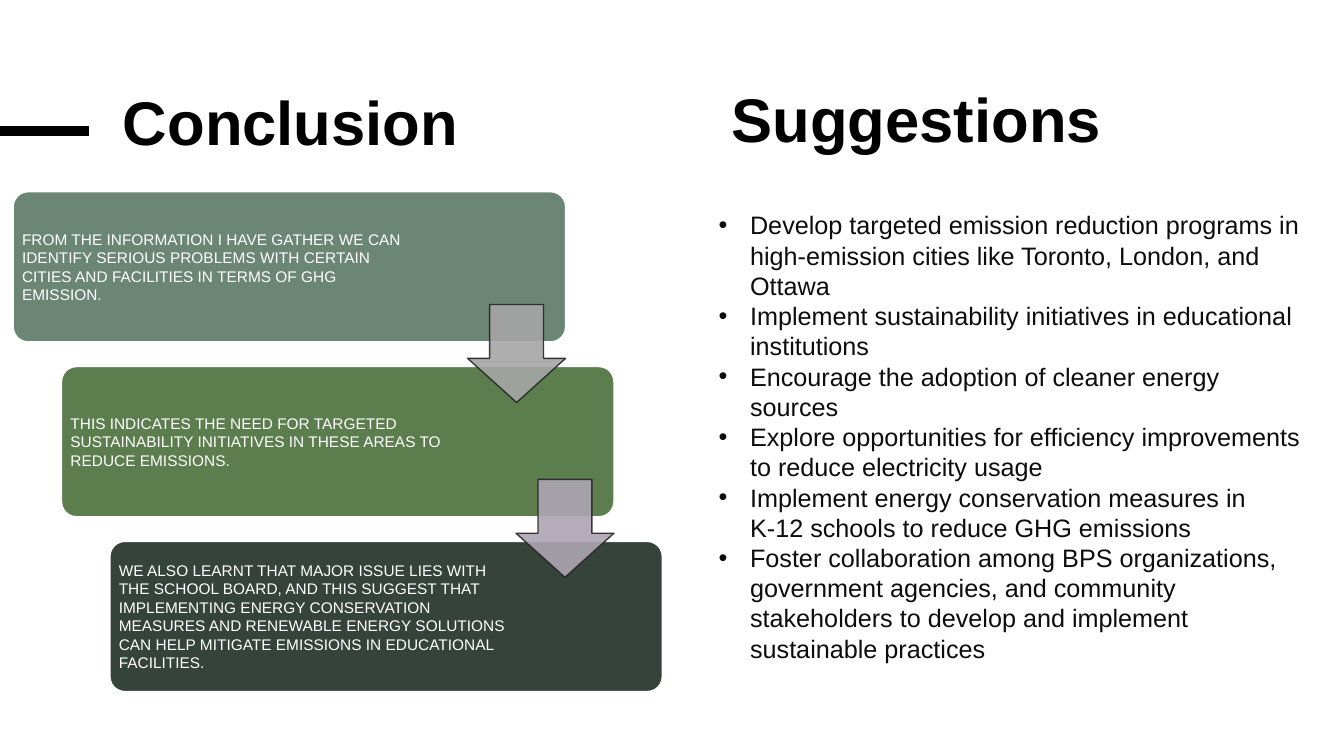
from lxml import etree
from pptx import Presentation
from pptx.dml.color import RGBColor
from pptx.enum.shapes import MSO_CONNECTOR, MSO_SHAPE
from pptx.enum.text import MSO_ANCHOR, MSO_AUTO_SIZE, PP_ALIGN
from pptx.oxml.ns import qn
from pptx.util import Pt

BLACK = RGBColor(0x00, 0x00, 0x00)
WHITE = RGBColor(0xFF, 0xFF, 0xFF)
INK = RGBColor(0x0D, 0x0D, 0x0D)
ARROW_EDGE = RGBColor(0x26, 0x26, 0x26)
SAGE = RGBColor(0x6B, 0x86, 0x74)
LEAF = RGBColor(0x5C, 0x7E, 0x4E)
FOREST = RGBColor(0x36, 0x43, 0x3A)
GREY = RGBColor(0xA6, 0xA6, 0xA6)
MAUVE = RGBColor(0xAD, 0xA5, 0xB2)

FINDINGS = [
    ("FROM THE INFORMATION I HAVE GATHER WE CAN IDENTIFY SERIOUS PROBLEMS WITH "
     "CERTAIN CITIES AND FACILITIES IN TERMS OF GHG EMISSION.", SAGE, 278.6),
    ("THIS INDICATES THE NEED FOR TARGETED SUSTAINABILITY INITIATIVES IN THESE "
     "AREAS TO REDUCE EMISSIONS.", LEAF, 283.7),
    ("WE ALSO LEARNT THAT MAJOR ISSUE LIES WITH THE SCHOOL BOARD, AND THIS "
     "SUGGEST THAT IMPLEMENTING ENERGY CONSERVATION MEASURES AND RENEWABLE "
     "ENERGY SOLUTIONS CAN HELP MITIGATE EMISSIONS IN EDUCATIONAL FACILITIES.",
     FOREST, 283.7),
]
SUGGESTIONS = [
    "Develop targeted emission reduction programs in high-emission cities like "
    "Toronto, London, and Ottawa",
    "Implement sustainability initiatives in educational institutions",
    "Encourage the adoption of cleaner energy sources",
    "Explore opportunities for efficiency improvements to reduce electricity usage",
    "Implement energy conservation measures in K-12 schools to reduce GHG emissions",
    "Foster collaboration among BPS organizations, government agencies, and "
    "community stakeholders to develop and implement sustainable practices",
]


def style_text(paragraph, size, color, bold=False):
    """Set the font of a left-aligned paragraph."""
    paragraph.alignment = PP_ALIGN.LEFT
    for run in paragraph.runs:
        run.font.name = "Arial"
        run.font.size = Pt(size)
        run.font.bold = bold
        run.font.color.rgb = color


def set_alpha(fill_parent, percent):
    """Make the solid fill under an element partly transparent."""
    color = fill_parent.find(qn("a:solidFill")).find(qn("a:srgbClr"))
    etree.SubElement(color, qn("a:alpha")).set("val", str(percent * 1000))


def add_text_box(slide, left, top, width, height):
    """Add a wrapping text box and return its text frame."""
    frame = slide.shapes.add_textbox(
        Pt(left), Pt(top), Pt(width), Pt(height)).text_frame
    frame.word_wrap = True
    return frame


def add_conclusion_title(slide, left, top, width, height):
    """Place the title with the heavy rule that leads to it from the edge."""
    rule_y = Pt(top + 29.5)
    rule = slide.shapes.add_connector(
        MSO_CONNECTOR.STRAIGHT, Pt(0), rule_y, Pt(left - 17.3), rule_y)
    rule.line.color.rgb = BLACK
    rule.line.width = Pt(6.75)
    etree.SubElement(rule.element.spPr, qn("a:effectLst"))

    title = slide.shapes.title
    title.left, title.top = Pt(left), Pt(top)
    title.width, title.height = Pt(width), Pt(height)
    frame = title.text_frame
    frame.text = "Conclusion"
    frame.auto_size = MSO_AUTO_SIZE.NONE
    frame.vertical_anchor = MSO_ANCHOR.TOP
    frame.paragraphs[0].line_spacing = 0.85
    style_text(frame.paragraphs[0], 44, BLACK, bold=True)


def add_finding(slide, left, top, width, height, finding, color, text_width):
    """Draw one rounded card with its finding."""
    card = slide.shapes.add_shape(
        MSO_SHAPE.ROUNDED_RECTANGLE, Pt(left), Pt(top), Pt(width), Pt(height))
    card.adjustments[0] = 0.1
    card.shadow.inherit = False
    card.fill.solid()
    card.fill.fore_color.rgb = color
    card.line.color.rgb = WHITE
    card.line.width = Pt(1)

    frame = add_text_box(slide, left + 3.1, top + 3.1, text_width, height - 6.2)
    frame.margin_left = frame.margin_right = Pt(3.3)
    frame.margin_top = frame.margin_bottom = Pt(3.3)
    frame.vertical_anchor = MSO_ANCHOR.MIDDLE
    frame.text = finding
    style_text(frame.paragraphs[0], 11, WHITE)


def add_step_arrow(slide, left, top, side, color):
    """Draw one translucent arrow between two cards."""
    arrow = slide.shapes.add_shape(
        MSO_SHAPE.DOWN_ARROW, Pt(left), Pt(top), Pt(side), Pt(side))
    arrow.adjustments[0] = 0.55
    arrow.adjustments[1] = 0.45
    arrow.shadow.inherit = False
    arrow.fill.solid()
    arrow.fill.fore_color.rgb = color
    arrow.line.color.rgb = ARROW_EDGE
    arrow.line.width = Pt(1)
    set_alpha(arrow.element.spPr, 90)
    set_alpha(arrow.element.spPr.find(qn("a:ln")), 90)


def add_findings(slide, left, top, width, height):
    """Cascade the cards down to the right, with arrows over their corners."""
    card_width, card_height, arrow_side = 394.6, 107.3, 70
    gaps = len(FINDINGS) - 1
    step_x = (width - card_width) / gaps
    step_y = (height - card_height) / gaps
    for index, (finding, color, text_width) in enumerate(FINDINGS):
        add_finding(slide, left + index * step_x, top + index * step_y,
                    card_width, card_height, finding, color, text_width)
    for index, color in enumerate([GREY, MAUVE]):
        add_step_arrow(slide, left + index * step_x + card_width - arrow_side,
                       top + index * step_y + 80.6, arrow_side, color)


def add_suggestions(slide, left, top, width, height):
    """Place the second heading and the bulleted suggestions below it."""
    heading = add_text_box(slide, left + 9.4, top, 286.6, 60.5)
    heading.text = "Suggestions"
    style_text(heading.paragraphs[0], 44, BLACK, bold=True)

    list_offset = 92.2
    bullets = add_text_box(
        slide, left, top + list_offset, width, height - list_offset)
    bullets.text = "\n".join(SUGGESTIONS)
    for paragraph in bullets.paragraphs:
        properties = paragraph._p.get_or_add_pPr()
        properties.set("marL", str(Pt(22.5)))
        properties.set("indent", str(Pt(-22.5)))
        etree.SubElement(properties, qn("a:buFont")).set("typeface", "Arial")
        etree.SubElement(properties, qn("a:buChar")).set("char", "•")
        style_text(paragraph, 18, INK)


def main():
    """Build and save the slide."""
    deck = Presentation()
    deck.slide_width, deck.slide_height = Pt(960), Pt(540)
    slide = deck.slides.add_slide(deck.slide_layouts[5])
    add_conclusion_title(slide, 80.6, 64.1, 373.7, 102.2)
    add_findings(slide, 9.4, 136.9, 463.7, 357.1)
    add_suggestions(slide, 506.2, 54, 432, 448.6)
    deck.save("out.pptx")


if __name__ == "__main__":
    main()
